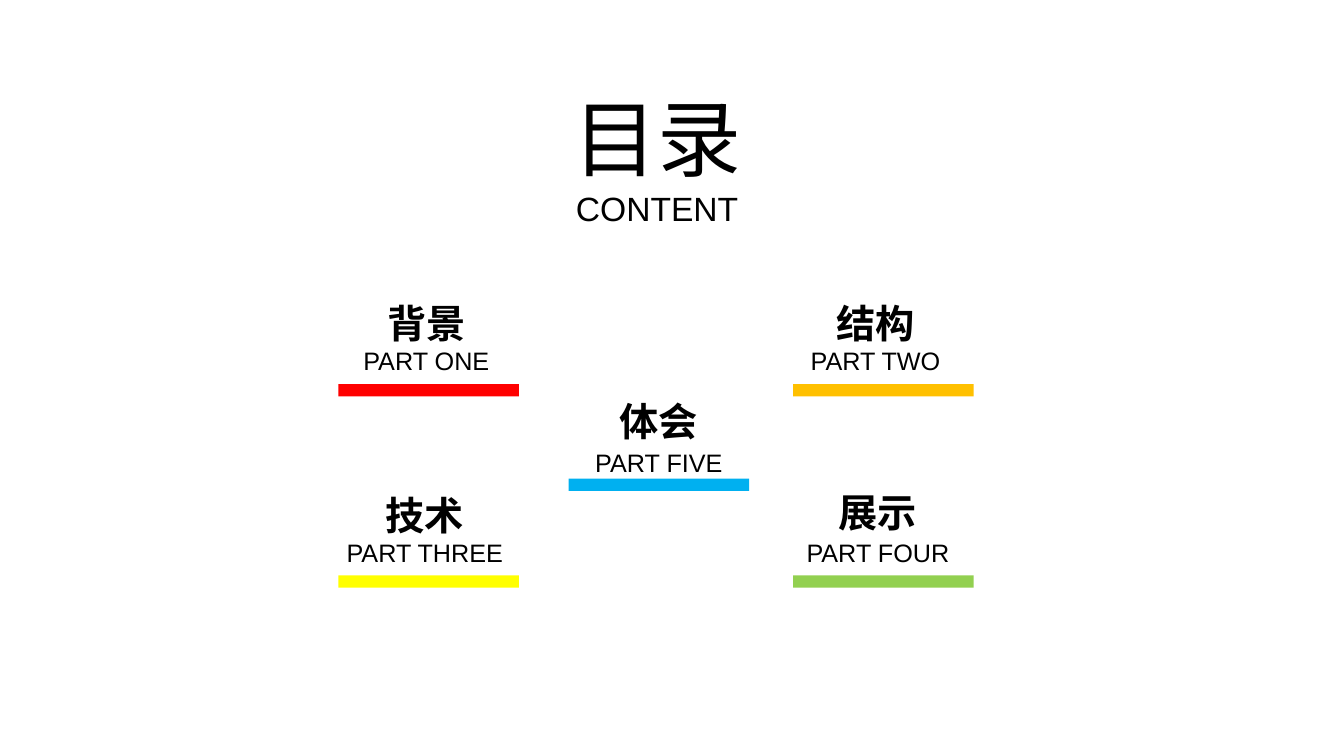
from pptx import Presentation
from pptx import util as u
from pptx.dml import color
from pptx.enum import shapes, text

COLOURS = {
    "ink": "000000",
    "red": "FF0000",
    "orange": "FFC000",
    "yellow": "FFFF00",
    "green": "92D050",
    "blue": "00B0F0",
}
FONT = "Arial"
BAR_WIDTH, BAR_HEIGHT = 4.55, 0.31
TEXT_WIDTH = 4.88
LEFT, MIDDLE, RIGHT = 8.53, 14.33, 19.99
UPPER, CENTRE, LOWER = 9.68, 12.06, 14.5

# Heading, label, colour, bar left, bar top, text shift, heading rise, label rise
PARTS = [
    ("背景", "PART ONE", "red", LEFT, UPPER, -0.06, 2.62, 1.32),
    ("结构", "PART TWO", "orange", RIGHT, UPPER, -0.2, 2.62, 1.32),
    ("技术", "PART THREE", "yellow", LEFT, LOWER, -0.1, 2.59, 1.32),
    ("展示", "PART FOUR", "green", RIGHT, LOWER, -0.14, 2.67, 1.32),
    ("体会", "PART FIVE", "blue", MIDDLE, CENTRE, 0, 2.54, 1.14),
]


def rgb(name):
    """Return the named colour."""
    return color.RGBColor.from_string(COLOURS[name])


def add_text(page, box, lines, spacing=None, bold=False, wrap=True):
    """Place centred (wording, size) lines in a box given in centimetres."""
    frame = page.shapes.add_textbox(*map(u.Cm, box)).text_frame
    frame.text = "\n".join(wording for wording, size in lines)
    frame.word_wrap = wrap
    frame.auto_size = text.MSO_AUTO_SIZE.SHAPE_TO_FIT_TEXT
    for para, (wording, size) in zip(frame.paragraphs, lines):
        para.alignment = text.PP_ALIGN.CENTER
        para.line_spacing = spacing
        for span in para.runs:
            span.font.name = FONT
            span.font.size = u.Pt(size)
            span.font.bold = bold
            span.font.color.rgb = rgb("ink")


def add_title(page, box):
    """Place the two-line title of the contents page."""
    add_text(page, box, [("目录", 60), ("CONTENT", 24)], wrap=False)


def add_part(page, box, part):
    """Place one entry: its bar fills the box, its texts stand above it."""
    heading, label, colour, shift, heading_rise, label_rise = part
    left, top, width, height = box
    bar = page.shapes.add_shape(shapes.MSO_SHAPE.RECTANGLE, *map(u.Cm, box))
    bar.shadow.inherit = False
    bar.fill.solid()
    bar.fill.fore_color.rgb = rgb(colour)
    bar.line.fill.background()
    text_left = left + (width - TEXT_WIDTH) / 2 + shift
    add_text(page, (text_left, top - label_rise, TEXT_WIDTH, 1.14),
             [(label, 18)], spacing=1.3)
    add_text(page, (text_left, top - heading_rise, TEXT_WIDTH, 1.65),
             [(heading, 28)], spacing=1.3, bold=True)


def main():
    """Build and save the contents page."""
    deck = Presentation()
    deck.slide_width, deck.slide_height = u.Cm(33.87), u.Cm(19.05)
    page = deck.slides.add_slide(deck.slide_layouts[6])
    add_title(page, (14.17, 2.06, 4.78, 3.84))
    for heading, label, colour, left, top, *offsets in PARTS:
        add_part(page, (left, top, BAR_WIDTH, BAR_HEIGHT),
                 (heading, label, colour, *offsets))
    deck.save("out.pptx")


if __name__ == "__main__":
    main()
